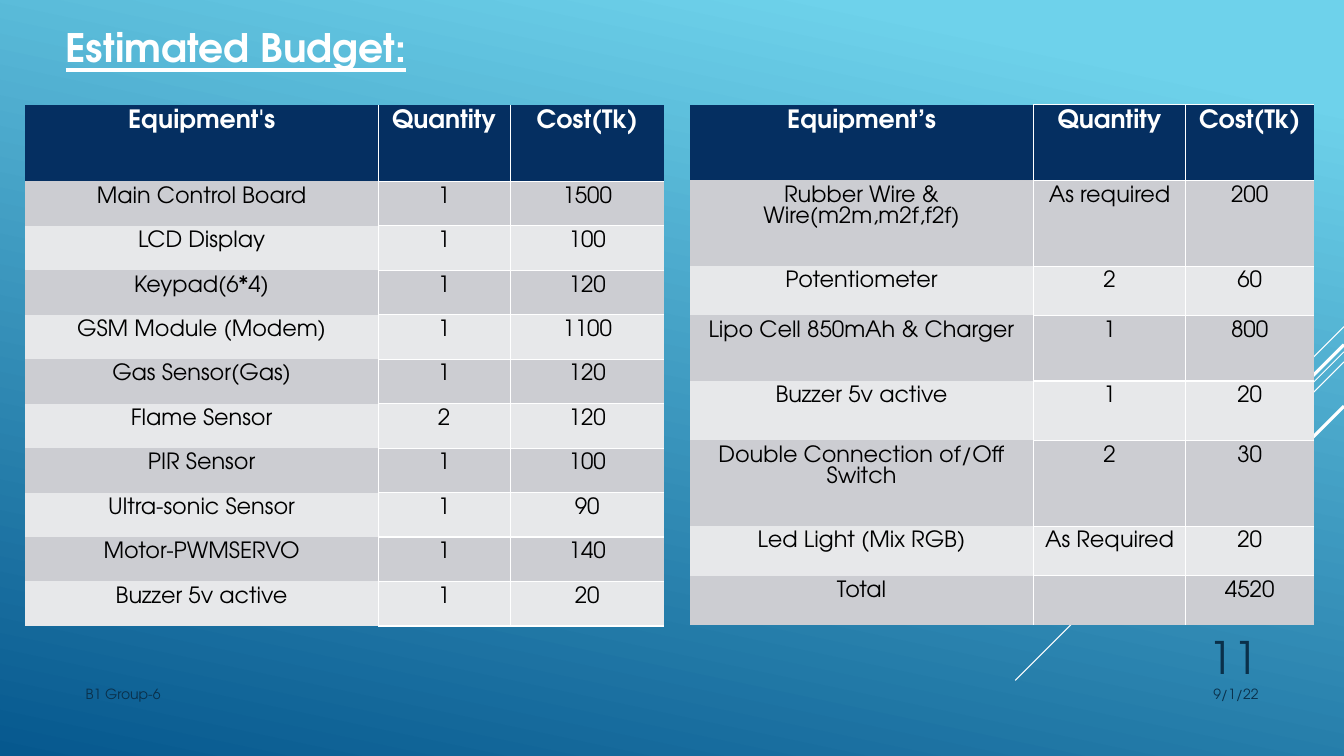
from dataclasses import dataclass
from lxml.etree import SubElement
from pptx import Presentation
from pptx.dml.color import RGBColor
from pptx.enum.shapes import MSO_CONNECTOR
from pptx.enum.text import MSO_ANCHOR, MSO_AUTO_SIZE, PP_ALIGN
from pptx.oxml import parse_xml
from pptx.oxml.ns import nsdecls, qn
from pptx.util import Inches, Pt


@dataclass(frozen=True)
class Theme:
    font: str = "TeX Gyre Adventor"
    white: str = "FFFFFF"
    black: str = "000000"
    navy: str = "052F61"
    bands: tuple = ("CCCDD2", "E7E8EA")
    note: str = "0A304A"
    sky: str = "6ED2EB"
    deep: str = "06588E"
    title: int = 28
    head: int = 18
    body: int = 16
    small: int = 10
    page: int = 32


THEME = Theme()
WIDE, HIGH = 13.33, 7.5

LEFT = [
    ("Equipment's", "Quantity", "Cost(Tk)"),
    ("Main Control Board", "1", "1500"),
    ("LCD Display", "1", "100"),
    ("Keypad(6*4)", "1", "120"),
    ("GSM Module (Modem)", "1", "1100"),
    ("Gas Sensor(Gas)", "1", "120"),
    ("Flame Sensor", "2", "120"),
    ("PIR Sensor", "1", "100"),
    ("Ultra-sonic Sensor", "1", "90"),
    ("Motor-PWMSERVO", "1", "140"),
    ("Buzzer 5v active", "1", "20"),
]
RIGHT = [
    ("Equipment’s", "Quantity", "Cost(Tk)"),
    ("Rubber Wire & Wire(m2m,m2f,f2f)", "As required", "200"),
    ("Potentiometer", "2", "60"),
    ("Lipo Cell 850mAh & Charger", "1", "800"),
    ("Buzzer 5v active", "1", "20"),
    ("Double Connection of/Off Switch", "2", "30"),
    ("Led Light (Mix RGB)", "As Required", "20"),
    ("Total", "", "4520"),
]


def color(code):
    return RGBColor.from_string(code)


def write(para, text, size, ink, bold=False, align=PP_ALIGN.LEFT):
    """Add one styled run to a paragraph."""
    para.alignment = align
    run = para.add_run()
    run.text = text
    font = run.font
    font.name, font.size, font.bold = THEME.font, Pt(size), bold
    font.color.rgb = color(ink)
    return run


def back(slide):
    """Sky gradient behind everything."""
    fill = slide.background.fill
    fill.gradient()
    fill.gradient_angle = 258
    for stop, ink, place in zip(fill.gradient_stops, (THEME.sky, THEME.deep), (0.1, 1)):
        stop.color.rgb = color(ink)
        stop.position = place


def rays(slide):
    """Diagonal lines from the right edge: start height, run, weight."""
    for top, run, weight in ((3.24, 1, 0.75), (3.49, 3.26, 0.75), (3.59, 2.07, 0.75),
                             (3.42, 1.91, 2.25), (4.03, 1.39, 2.25)):
        ray = slide.shapes.add_connector(
            MSO_CONNECTOR.STRAIGHT, Inches(WIDE), Inches(top),
            Inches(WIDE - run), Inches(top + run))
        ray.line.color.rgb = color(THEME.white)
        ray.line.width = Pt(weight)
        SubElement(ray._element.spPr, qn("a:effectLst"))


def place(shape, box):
    shape.left, shape.top, shape.width, shape.height = map(Inches, box)


def title(slide, box):
    shape = slide.shapes.title
    place(shape, box)
    frame = shape.text_frame
    frame.auto_size = MSO_AUTO_SIZE.NONE
    frame.vertical_anchor = MSO_ANCHOR.MIDDLE
    run = write(frame.paragraphs[0], "Estimated Budget:", THEME.title, THEME.white, True)
    run.font.underline = True


def label(slide, box, text, size, align, anchor=MSO_ANCHOR.TOP):
    frame = slide.shapes.add_textbox(*map(Inches, box)).text_frame
    frame.word_wrap = True
    frame.vertical_anchor = anchor
    write(frame.paragraphs[0], text, size, THEME.note, align=align)


def border(cell, sides):
    """Draw white edges on the named sides and clear the others."""
    props = cell._tc.get_or_add_tcPr()
    for spot, side in enumerate("LRTB"):
        paint = "<a:noFill/>"
        if side in sides:
            paint = f'<a:solidFill><a:srgbClr val="{THEME.white}"/></a:solidFill>'
        props.insert(spot, parse_xml(
            f'<a:ln{side} {nsdecls("a")} w="12700">{paint}</a:ln{side}>'))


def budget(slide, box, data, cols, rows, top=False, base=False):
    """Budget table; top and base switch its outer edges."""
    grid = slide.shapes.add_table(len(data), len(cols), *map(Inches, box)).table
    grid.horz_banding = grid.first_row = False
    for col, width in zip(grid.columns, cols):
        col.width = Inches(width)
    for row, height in zip(grid.rows, rows):
        row.height = Inches(height)
    for y, line in enumerate(data):
        head = y == 0
        size = THEME.head if head else THEME.body
        ink = THEME.white if head else THEME.black
        for x, text in enumerate(line):
            cell = grid.cell(y, x)
            cell.fill.solid()
            cell.fill.fore_color.rgb = color(
                THEME.navy if head else THEME.bands[(y - 1) % 2])
            sides = ("L" if x else "") + ("R" if x < len(cols) - 1 else "")
            if x:
                sides += "T" if y or top else ""
                sides += "B" if y < len(data) - 1 or base else ""
            border(cell, sides)
            para = cell.text_frame.paragraphs[0]
            para.line_spacing = Pt(size - 1)
            if text:
                write(para, text, size, ink, head, PP_ALIGN.CENTER)


def foot(slide, box):
    """Group name, page number and date."""
    left, top, width, height = box
    end = left + width
    label(slide, (end - 1.75, top, 1.75, height), "9/1/22", THEME.small, PP_ALIGN.RIGHT)
    label(slide, (left, top, 8.25, height), "B1 Group-6", THEME.small, PP_ALIGN.LEFT)
    label(slide, (end - 1.25, top - 0.65, 1.25, 0.73), "11", THEME.page,
          PP_ALIGN.RIGHT, MSO_ANCHOR.BOTTOM)


def main():
    deck = Presentation()
    deck.slide_width, deck.slide_height = Inches(WIDE), Inches(HIGH)
    slide = deck.slides.add_slide(deck.slide_layouts[5])
    back(slide)
    rays(slide)
    foot(slide, (0.75, 6.75, 11.83, 0.4))
    title(slide, (0.55, 0.18, 5.69, 0.57))
    budget(slide, (6.84, 1.04, 6.19, 5.17), RIGHT, (3.41, 1.51, 1.27),
           (0.75, 0.85, 0.49, 0.65, 0.59, 0.85, 0.49, 0.49), top=True)
    high, head = 5.17, 0.76
    count = len(LEFT) - 1
    budget(slide, (0.25, 1.04, 6.34, high), LEFT, (3.5, 1.31, 1.53),
           [head] + [(high - head) / count] * count, base=True)
    deck.save("out.pptx")


if __name__ == "__main__":
    main()
